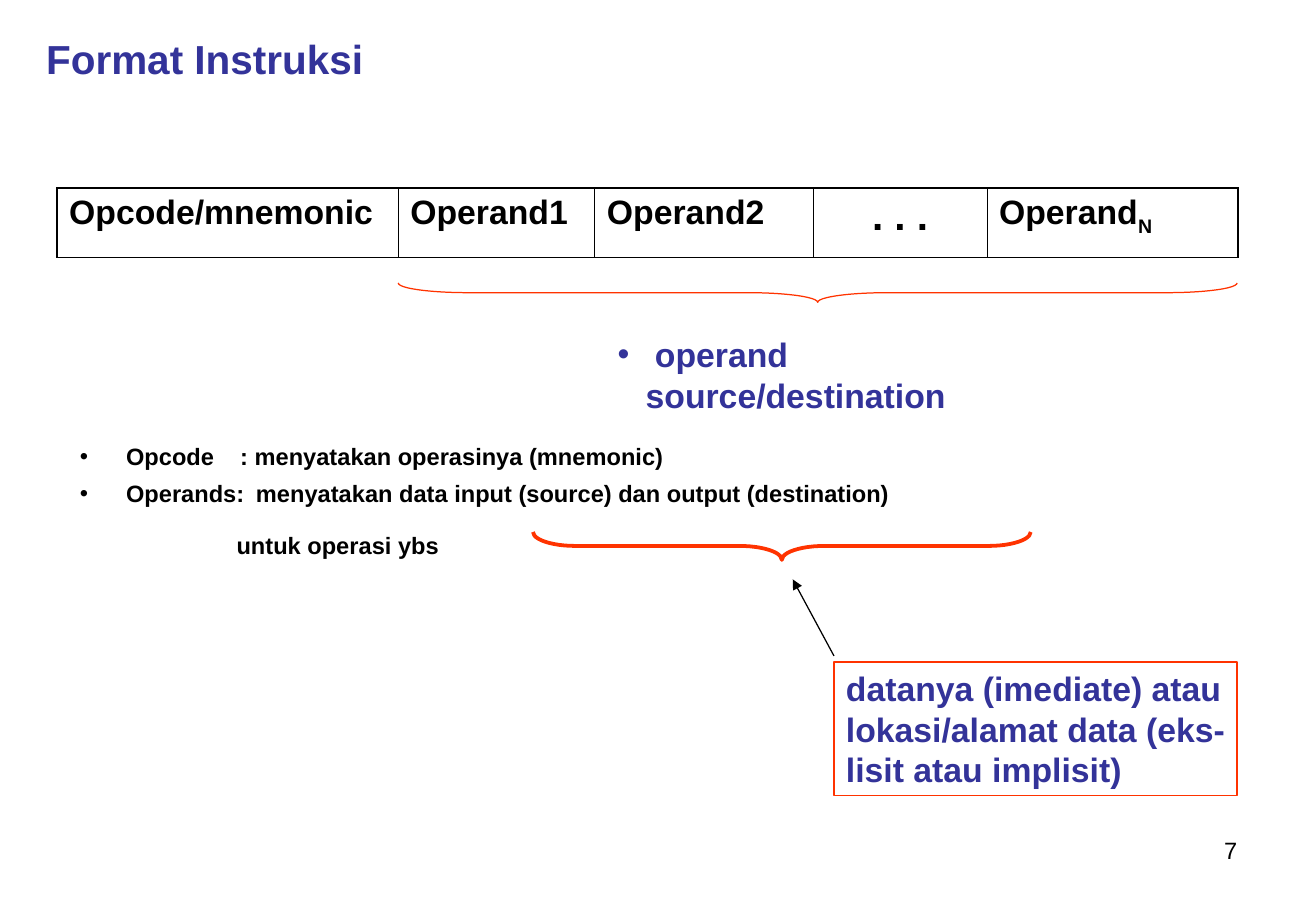
import pptx
import pptx.util
import pptx.dml.color
import pptx.enum.shapes
import pptx.enum.text
from lxml import etree

Inches, Pt = pptx.util.Inches, pptx.util.Pt
RGBColor = pptx.dml.color.RGBColor
Shape = pptx.enum.shapes.MSO_SHAPE
Align = pptx.enum.text.PP_ALIGN
Anchor = pptx.enum.text.MSO_ANCHOR

BLACK = RGBColor(0, 0, 0)
BLUE = RGBColor(0x33, 0x33, 0x99)
RED = RGBColor(0xFF, 0x33, 0x00)

TITLE = "Format Instruksi"
# text, subscript, column width, size, alignment
FIELDS = [
    ("Opcode/mnemonic", "", 2.81, 20, Align.LEFT),
    ("Operand1", "", 1.62, 20, Align.LEFT),
    ("Operand2", "", 1.8, 20, Align.LEFT),
    (". . .", "", 1.43, 24, Align.CENTER),
    ("Operand", "N", 2.07, 20, Align.LEFT),
]
ROLE = " operand source/destination"
# text, format
NOTES = [
    ("Opcode\t: menyatakan operasinya (mnemonic)",
     dict(left=0.38, hang=0.38, bullet=True, tab=1.32)),
    ("Operands:\tmenyatakan data input (source) dan output (destination)",
     dict(left=0.38, hang=0.38, bullet=True, tab=1.45, before=5)),
    ("untuk operasi ybs", dict(left=1.29, before=5, spacing=1.55)),
]
DATA = ["datanya (imediate) atau", "lokasi/alamat data (eks-",
        "lisit atau implisit)"]
# left, top, width, depth, curve length, line width
BRACES = [(3.28, 2.33, 6.91, 0.16, 0.58, 0.75),
          (4.39, 4.38, 4.1, 0.23, 0.35, 2.25)]


def add(parent, tag, **attrs):
    node = etree.SubElement(parent, pptx.oxml.ns.qn("a:" + tag))
    for key, value in attrs.items():
        node.set(key, str(value))
    return node


def write(frame, text, size=20, color=BLUE, bold=True, align=Align.LEFT,
          left=0, hang=0, bullet=False, tab=None, before=0, spacing=None,
          sub=""):
    """Fill the empty first paragraph of the frame, or append one."""
    para = frame.paragraphs[0]
    if para.runs:
        para = frame.add_paragraph()
    props = para._p.get_or_add_pPr()
    props.set("marL", str(Inches(left)))
    props.set("indent", str(-Inches(hang)))
    if bullet:
        add(props, "buFont", typeface="Arial")
        add(props, "buChar", char="•")
    else:
        add(props, "buNone")
    if tab:
        add(add(props, "tabLst"), "tab", pos=Inches(tab), algn="l")
    para.alignment = align
    para.space_before = Pt(before)
    if spacing:
        para.line_spacing = spacing
    for part in filter(None, (text, sub)):
        run = para.add_run()
        run.text = part
        font = run.font
        font.name, font.size, font.bold = "Arial", Pt(size), bold
        font.color.rgb = color
    if sub:
        font._element.set("baseline", "-25000")


def box(left, top, width, height):
    frame = slide.shapes.add_textbox(
        Inches(left), Inches(top), Inches(width), Inches(height)).text_frame
    frame.word_wrap = True
    return frame


def brace(left, top, width, depth, curve, weight):
    """Turn a right brace so that its tip points down."""
    mid, level = left + width / 2, top + depth / 2
    shape = slide.shapes.add_shape(
        Shape.RIGHT_BRACE, Inches(mid - depth / 2), Inches(level - width / 2),
        Inches(depth), Inches(width))
    shape.rotation = 90
    shape.adjustments[0] = curve / depth
    shape.shadow.inherit = False
    shape.fill.background()
    shape.line.color.rgb = RED
    shape.line.width = Pt(weight)


def edge(cell, side, weight):
    line = add(cell._tc.get_or_add_tcPr(), side, w=Pt(weight))
    add(add(line, "solidFill"), "srgbClr", val=BLACK)


deck = pptx.Presentation()
deck.slide_width, deck.slide_height = Inches(10.84), Inches(7.5)
slide = deck.slides.add_slide(deck.slide_layouts[5])

title = slide.shapes.title
title.left, title.top = Inches(0.28), Inches(0.23)
title.width, title.height = Inches(9.92), Inches(0.5)
title.text_frame.vertical_anchor = Anchor.TOP
write(title.text_frame, TITLE, size=24)

grid = slide.shapes.add_table(
    1, len(FIELDS), Inches(0.47), Inches(1.55),
    Inches(sum(field[2] for field in FIELDS)), Inches(0.57)).table
grid.first_row = grid.horz_banding = False
grid.rows[0].height = Inches(0.57)
last = len(FIELDS) - 1
for col, (text, sub, width, size, align) in enumerate(FIELDS):
    grid.columns[col].width = Inches(width)
    cell = grid.cell(0, col)
    write(cell.text_frame, text, size=size, color=BLACK, align=align, sub=sub)
    edge(cell, "lnL", 1.08 if col == 0 else 0.45)
    edge(cell, "lnR", 1.08 if col == last else 0.45)
    edge(cell, "lnT", 1.08)
    edge(cell, "lnB", 1.08)
    cell.fill.background()

for item in BRACES:
    brace(*item)

write(box(4.99, 2.7, 3.4, 0.77), ROLE, left=0.23, hang=0.23, bullet=True)

notes = box(0.56, 3.59, 9.81, 1.34)
for text, style in NOTES:
    write(notes, text, size=14, color=BLACK, **style)

arrow = slide.shapes.add_connector(
    pptx.enum.shapes.MSO_CONNECTOR.STRAIGHT,
    Inches(6.87), Inches(5.4), Inches(6.53), Inches(4.77))
arrow.line.color.rgb = BLACK
arrow.line.width = Pt(0.75)
add(arrow.line._get_or_add_ln(), "tailEnd", type="triangle")
add(arrow._element.spPr, "effectLst")

panel = slide.shapes.add_shape(
    Shape.RECTANGLE, Inches(6.87), Inches(5.45), Inches(3.32), Inches(1.1))
panel.shadow.inherit = False
panel.fill.background()
panel.line.color.rgb = RED
panel.line.width = Pt(0.75)
panel.text_frame.word_wrap = False
panel.text_frame.vertical_anchor = Anchor.TOP
for text in DATA:
    write(panel.text_frame, text)

write(box(7.76, 6.83, 2.53, 0.52), "7", size=14, color=BLACK, bold=False,
      align=Align.RIGHT)

deck.save("out.pptx")
